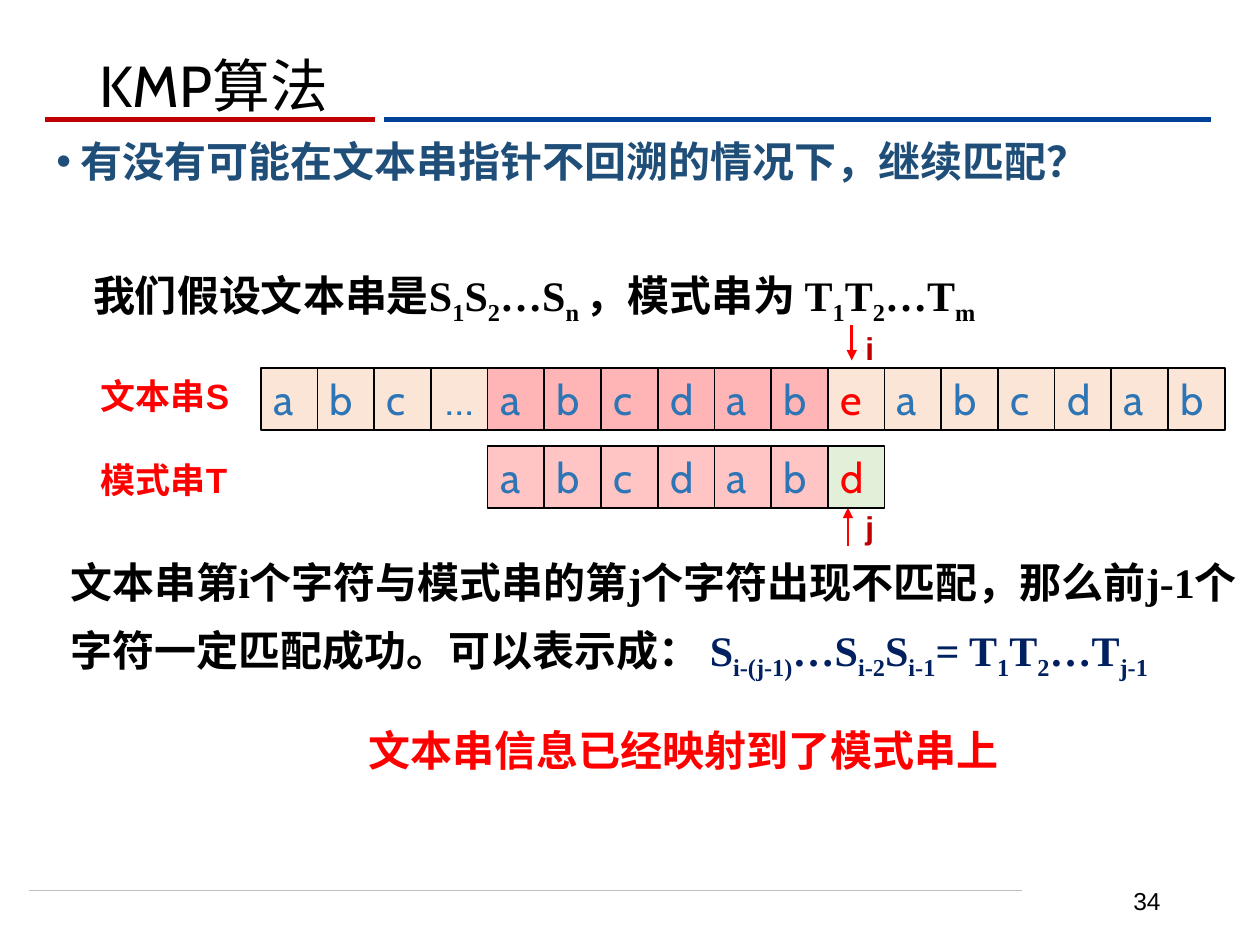
from dataclasses import dataclass

from lxml import etree
from pptx import Presentation
from pptx import util as u
from pptx.dml.color import RGBColor
from pptx.enum import shapes, text
from pptx.oxml import ns


@dataclass(frozen=True)
class Theme:
    black: str = "000000"
    gray: str = "BFBFBF"
    blue: str = "004299"
    dark: str = "C00000"
    red: str = "FF0000"
    teal: str = "1F4E79"
    navy: str = "002060"
    sky: str = "2E75B6"
    peach: str = "FBE5D6"
    green: str = "E2F0D9"
    sans: str = "Arial"
    round: str = "Cabin"
    serif: str = "Times New Roman"
    title: int = 33
    body: int = 24
    label: int = 20
    mark: int = 18
    foot: int = 14


theme = Theme()
deck = Presentation()
deck.slide_width, deck.slide_height = u.Inches(10), u.Inches(7.5)
slide = deck.slides.add_slide(deck.slide_layouts[6])


def write(para, words, size, font, color, bold=True):
    for k, part in enumerate(words.split("|")):
        run = para.add_run()
        run.text = part
        run.font.size, run.font.name, run.font.bold = u.Pt(size), font, bold
        run.font.color.rgb = RGBColor.from_string(color)
        if k % 2:
            run.font._element.set("baseline", "-25000")


def add_box(left, top, width, height, *style, middle=False):
    box = slide.shapes.add_textbox(*map(u.Inches, (left, top, width, height)))
    frame = box.text_frame
    frame.word_wrap = True
    if middle:
        frame.vertical_anchor = text.MSO_ANCHOR.MIDDLE
    para = frame.paragraphs[0]
    write(para, *style)
    return para, frame


for x1, y1, x2, y2, color, width, arrow in (
    (0.23, 7.07, 8.11, 7.07, theme.gray, 0.5, False),
    (3.05, 0.95, 9.61, 0.95, theme.blue, 3, False),
    (0.36, 0.95, 2.98, 0.95, theme.dark, 3, False),
    (6.76, 2.58, 6.76, 2.86, theme.red, 1.5, True),
    (6.73, 4.33, 6.73, 4.03, theme.red, 1.5, True),
):
    line = slide.shapes.add_connector(
        shapes.MSO_CONNECTOR.STRAIGHT, *map(u.Inches, (x1, y1, x2, y2)))
    line.line.color.rgb = RGBColor.from_string(color)
    line.line.width = u.Pt(width)
    props = line._element.spPr
    if arrow:
        etree.SubElement(props.find(ns.qn("a:ln")), ns.qn("a:tailEnd"), type="triangle")
    etree.SubElement(props, ns.qn("a:effectLst"))

page, _ = add_box(7.06, 6.95, 2.25, 0.4, "34", theme.foot, theme.sans,
                  theme.black, False, middle=True)
page.alignment = text.PP_ALIGN.RIGHT
title, _ = add_box(0.69, -0.02, 8.62, 1.45, "KMP算法", theme.title, theme.round,
                   theme.black, False, middle=True)
title.line_spacing = 0.9

ask, frame = add_box(0.35, 0.91, 9.5, 1.08, "有没有可能在文本串指针不回溯的情况下，继续匹配？",
                     theme.body, theme.sans, theme.teal)
ask.line_spacing, ask.space_before = 1.3, u.Pt(7.5)
props = ask._p.get_or_add_pPr()
props.set("marL", str(u.Inches(0.19)))
props.set("indent", str(u.Inches(-0.19)))
etree.SubElement(props, ns.qn("a:buFont"), typeface=theme.sans)
etree.SubElement(props, ns.qn("a:buChar"), char="•")

given = frame.add_paragraph()
write(given, "我们假设文本串是S|1|S|2|…S|n |，模式串为 T|1|T|2|…T|m|",
      theme.body, theme.serif, theme.black)
given.line_spacing, given.space_before = 1.5, u.Pt(31)
given._p.get_or_add_pPr().set("marL", str(u.Inches(0.29)))

for left, top, width, words, size, color in (
    (0.7, 2.92, 1.24, "文本串S", theme.label, theme.red),
    (0.7, 3.59, 1.22, "模式串T", theme.label, theme.red),
    (6.77, 2.56, 0.27, "i", theme.mark, theme.dark),
    (6.77, 3.98, 0.27, "j", theme.mark, theme.dark),
):
    add_box(left, top, width, 0.4, words, size, theme.sans, color)

side, miss = 0.45, 10
for top, first, chars, odd, alpha in (
    (3.54, 4, "abcdabd", theme.green, 23),
    (2.92, 0, "abc…abcdabeabcdab", theme.peach, 29),
):
    for col, char in enumerate(chars, first):
        cell = slide.shapes.add_shape(
            shapes.MSO_SHAPE.RECTANGLE,
            *map(u.Inches, (2.07 + col * side, top, side, 0.49)))
        cell.shadow.inherit = False
        cell.line.color.rgb = RGBColor.from_string(theme.black)
        cell.line.width = u.Pt(1)
        match = 4 <= col < miss
        cell.fill.solid()
        cell.fill.fore_color.rgb = RGBColor.from_string(theme.red if match else odd)
        if match:
            tint = cell._element.spPr.find(ns.qn("a:solidFill"))[0]
            etree.SubElement(tint, ns.qn("a:alpha"), val=str(alpha * 1000))
        cell.text_frame.vertical_anchor = text.MSO_ANCHOR.MIDDLE
        para = cell.text_frame.paragraphs[0]
        para.alignment = text.PP_ALIGN.CENTER if char == "…" else text.PP_ALIGN.JUSTIFY
        write(para, char, theme.body, theme.round,
              theme.red if col == miss else theme.sky, False)

proof, _ = add_box(0.46, 4.25, 9.5, 1.4,
                   "文本串第i个字符与模式串的第j个字符出现不匹配，那么前j-1个字符一定匹配成功。可以表示成： ",
                   theme.body, theme.serif, theme.black)
write(proof, "S|i-(j-1)|…S|i-2|S|i-1|= T|1|T|2|…T|j-1", theme.body, theme.serif, theme.navy)
proof.line_spacing, proof.space_before = 1.3, u.Pt(7.5)
add_box(2.83, 5.7, 5.31, 0.5, "文本串信息已经映射到了模式串上", theme.body, theme.serif, theme.red)

deck.save("out.pptx")
